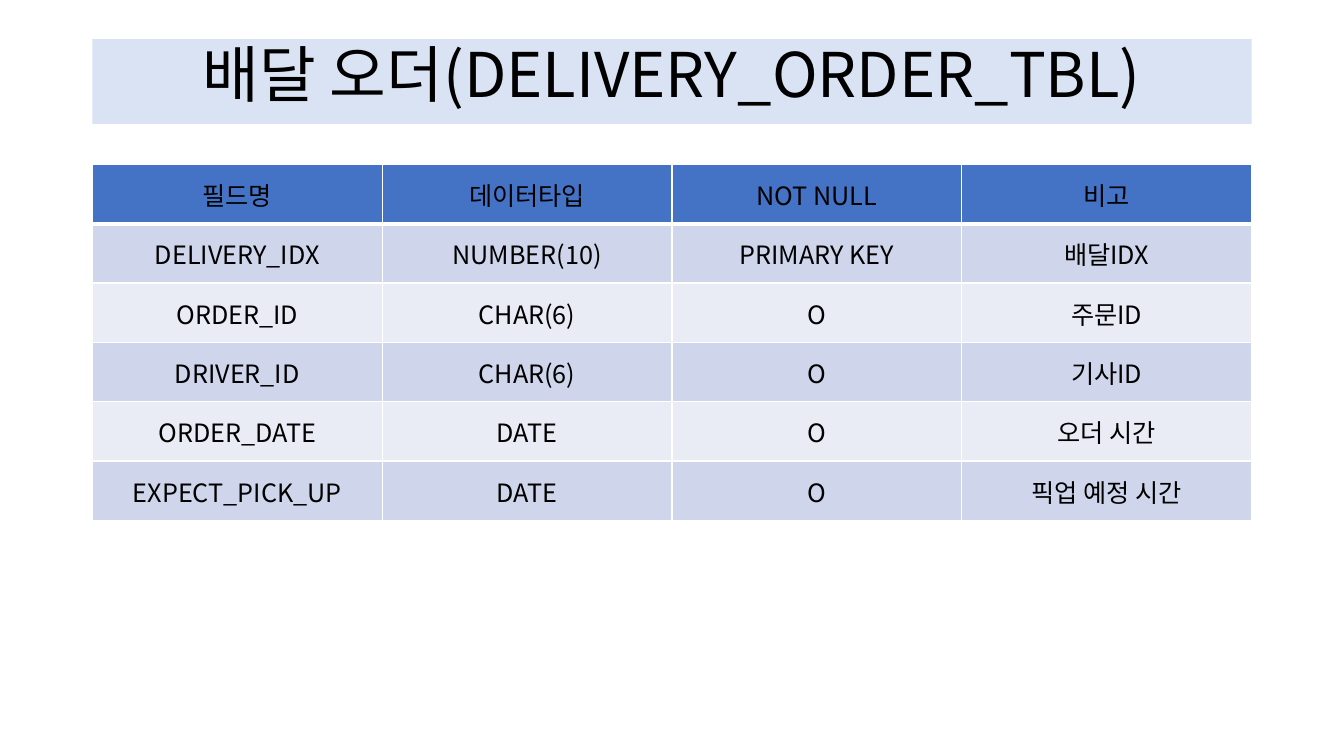
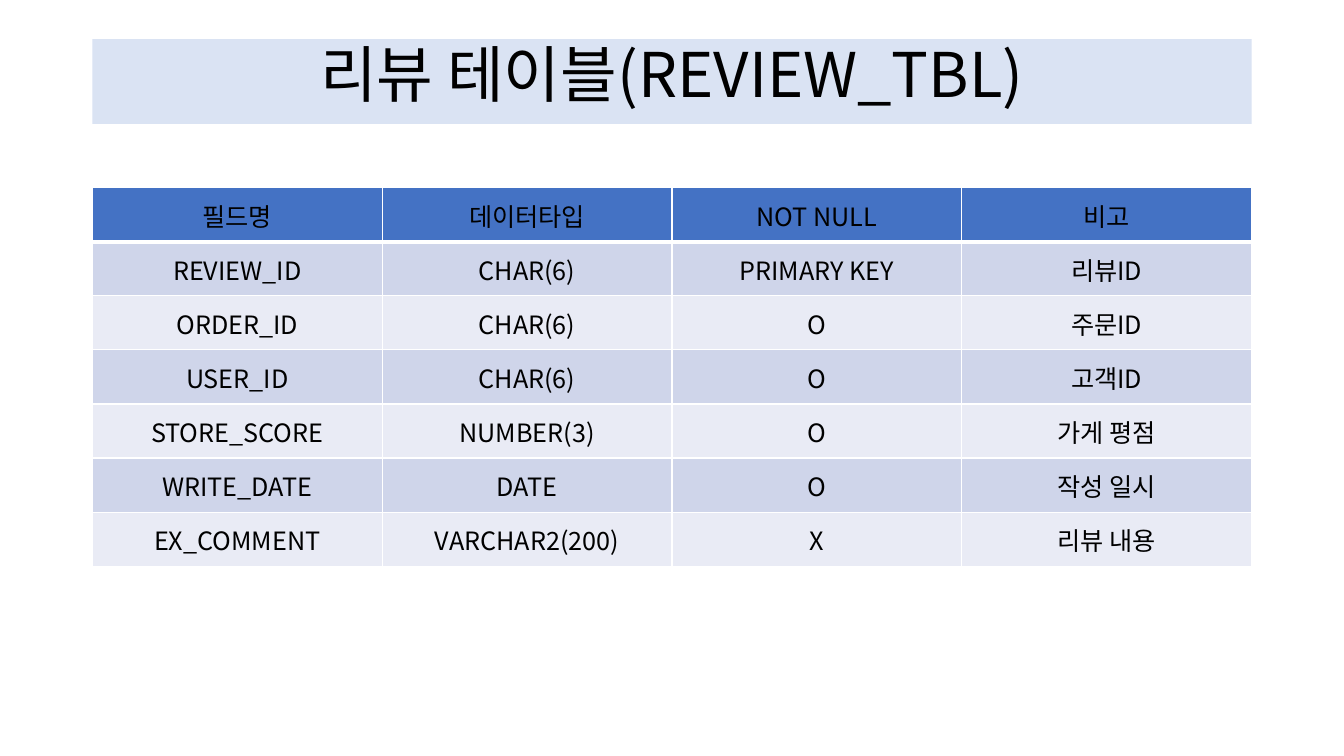
from lxml.etree import SubElement, Element
from pptx import Presentation
from pptx.dml.color import RGBColor
from pptx.enum.text import MSO_ANCHOR as Anchor, MSO_AUTO_SIZE as AutoSize, PP_ALIGN as Align
from pptx.oxml.ns import qn
from pptx.util import Pt


def rgb(value):
    return RGBColor.from_string(value)


def write(tf, text, size=18, color="000000", font="Noto Sans CJK KR", align=Align.CENTER, spacing=1.0):
    p = tf.paragraphs[0]
    p.alignment = align
    p.line_spacing = spacing
    r = p.add_run()
    r.text = text
    r.font.size = Pt(size)
    r.font.name = font
    r.font.color.rgb = rgb(color)
    SubElement(r.font._element, qn("a:ea")).set("typeface", font)


def border(cell, **widths):
    tc_pr = cell._tc.get_or_add_tcPr()
    for i, side in enumerate("LRTB"):
        ln = Element(qn(f"a:ln{side}"), w=str(Pt(widths.get(side, 1))))
        fill = SubElement(ln, qn("a:solidFill"))
        SubElement(fill, qn("a:srgbClr")).set("val", Deck.LINE)
        tc_pr.insert(i, ln)


class Deck:
    LEFT, WIDTH = 66, 828
    TITLE_TOP, TITLE_HEIGHT = 28, 60.5
    BAND, HEAD, LINE = "DAE3F3", "4472C4", "FFFFFF"
    STRIPES = "E9EBF5", "CFD5EA"
    HEADINGS = "필드명", "데이터타입", "NOT NULL", "비고"

    def __init__(self):
        self.prs = Presentation()
        self.prs.slide_width, self.prs.slide_height = Pt(960), Pt(540)
        self.s = None

    def slide(self, title):
        self.s = self.prs.slides.add_slide(self.prs.slide_layouts[5])
        sp = self.s.shapes.title
        sp.left, sp.top = Pt(self.LEFT), Pt(self.TITLE_TOP)
        sp.width, sp.height = Pt(self.WIDTH), Pt(self.TITLE_HEIGHT)
        sp.fill.solid()
        sp.fill.fore_color.rgb = rgb(self.BAND)
        tf = sp.text_frame
        tf.word_wrap = True
        tf.auto_size = AutoSize.NONE
        tf.vertical_anchor = Anchor.TOP
        write(tf, title, size=44, spacing=0.9)

    def table(self, top, row_height, fields):
        rows = [self.HEADINGS, *fields]
        cols = len(self.HEADINGS)
        table = self.s.shapes.add_table(
            len(rows), cols, Pt(self.LEFT), Pt(top), Pt(self.WIDTH), Pt(row_height * len(rows))).table
        for col in table.columns:
            col.width = Pt(self.WIDTH / cols)
        for i, values in enumerate(rows):
            table.rows[i].height = Pt(row_height)
            for j, text in enumerate(values):
                self.cell(table.cell(i, j), text, i)

    def cell(self, cell, text, row):
        cell.fill.solid()
        cell.fill.fore_color.rgb = rgb(self.STRIPES[row % 2] if row else self.HEAD)
        cell.vertical_anchor = Anchor.MIDDLE
        cell.margin_left = cell.margin_right = cell.margin_top = Pt(0.75)
        cell.margin_bottom = 0
        border(cell, T=3 if row == 1 else 1, B=1 if row else 3)
        write(cell.text_frame, text)


def main():
    deck = Deck()
    deck.slide("배달 오더(DELIVERY_ORDER_TBL)")
    deck.table(117.5, 42.35, [
        ("DELIVERY_IDX", "NUMBER(10)", "PRIMARY KEY", "배달IDX"),
        ("ORDER_ID", "CHAR(6)", "O", "주문ID"),
        ("DRIVER_ID", "CHAR(6)", "O", "기사ID"),
        ("ORDER_DATE", "DATE", "O", "오더 시간"),
        ("EXPECT_PICK_UP", "DATE", "O", "픽업 예정 시간"),
    ])
    deck.slide("리뷰 테이블(REVIEW_TBL)")
    deck.table(134, 38.65, [
        ("REVIEW_ID", "CHAR(6)", "PRIMARY KEY", "리뷰ID"),
        ("ORDER_ID", "CHAR(6)", "O", "주문ID"),
        ("USER_ID", "CHAR(6)", "O", "고객ID"),
        ("STORE_SCORE", "NUMBER(3)", "O", "가게 평점"),
        ("WRITE_DATE", "DATE", "O", "작성 일시"),
        ("EX_COMMENT", "VARCHAR2(200)", "X", "리뷰 내용"),
    ])
    deck.prs.save("out.pptx")


if __name__ == "__main__":
    main()
